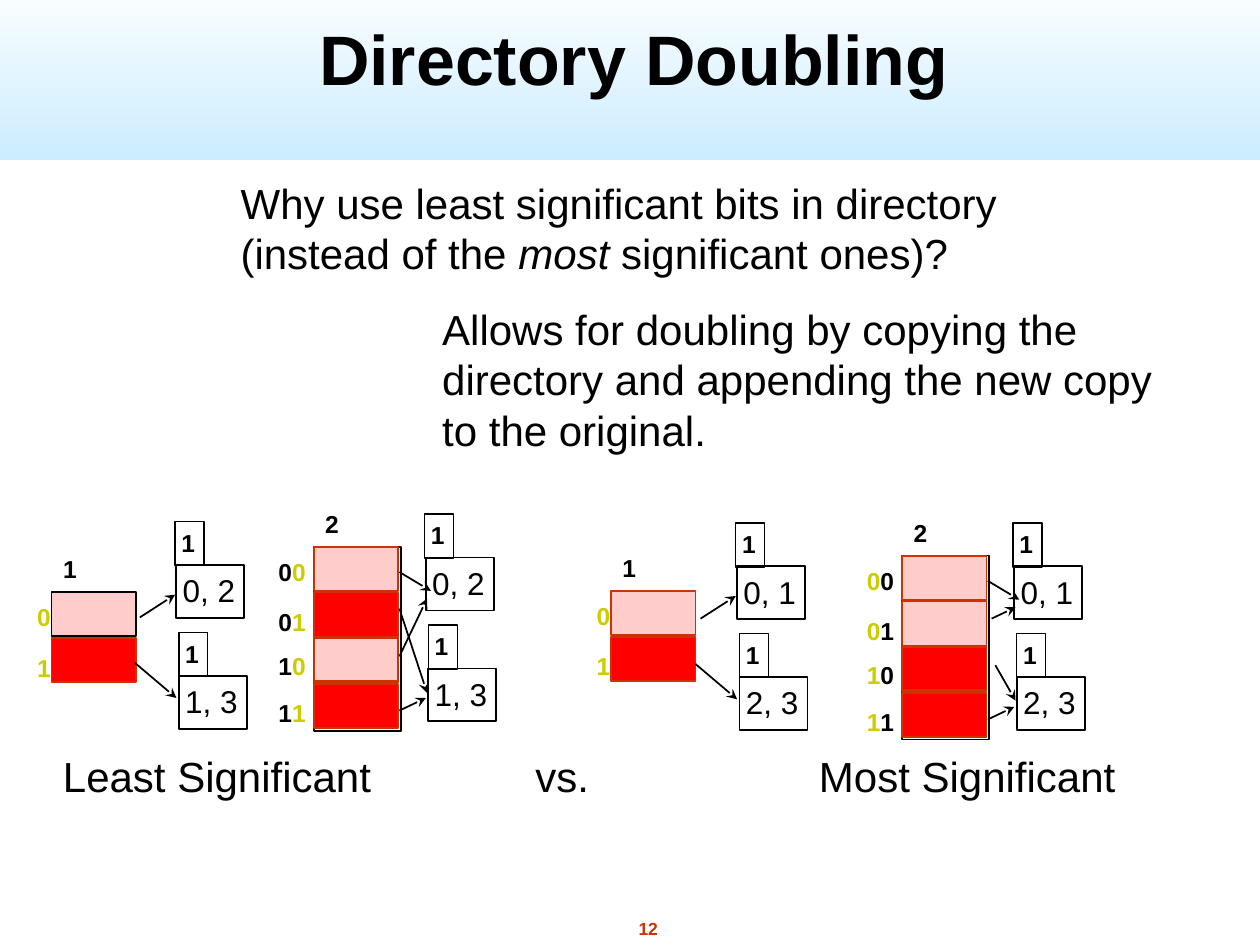
from dataclasses import dataclass
from typing import NamedTuple

from lxml.etree import SubElement
from pptx import Presentation
from pptx.dml.color import RGBColor
from pptx.enum.shapes import MSO_CONNECTOR, MSO_SHAPE
from pptx.enum.text import MSO_ANCHOR, MSO_AUTO_SIZE, PP_ALIGN
from pptx.oxml.ns import qn
from pptx.util import Inches, Pt


@dataclass(frozen=True)
class Theme:
    font: str = "Arial"
    ink: str = "000000"
    rust: str = "CC3300"
    gold: str = "CCCC00"
    pink: str = "FFCCCC"
    red: str = "FF0000"
    sky: str = "CCECFF"
    white: str = "FFFFFF"
    title: int = 40
    body: int = 24
    key: int = 18
    bit: int = 14
    page: int = 10
    thin: float = 0.75
    line: float = 1


class Run(NamedTuple):
    text: str
    color: str
    italic: bool = False


class Spot(NamedTuple):
    x: float
    y: float


class Arrow(NamedTuple):
    start: Spot
    end: Spot


class Table(NamedTuple):
    """A directory with its buckets; bit number `hot` is stressed."""
    at: Spot
    depth: str
    bits: tuple
    hot: int
    fills: tuple
    first: str
    store: Spot
    keys: tuple
    arrows: tuple


T = Theme()
deck = Presentation()
deck.slide_width, deck.slide_height = Inches(10), Inches(7.5)
slide = deck.slides.add_slide(deck.slide_layouts[6])
shapes = slide.shapes

# The slide is a grid of 100 columns by 75 rows
UNIT = deck.slide_width / 100
CELL_W, CELL_H, PITCH = 6.7, 3.5, 3.63
LABELS = (0.3, 4.3, 7.8, 11.5)


def grid(*vals: float) -> list:
    return [round(v * UNIT) for v in vals]


def write(shape, paras: list, size: int, bold: bool = False, wrap: bool = False,
          align=PP_ALIGN.LEFT, anchor=MSO_ANCHOR.TOP, level: int = 0) -> None:
    frame = shape.text_frame
    pad = Inches(0.05)
    look = {"margin_left": pad, "margin_right": pad, "margin_top": pad,
            "margin_bottom": pad, "word_wrap": wrap,
            "auto_size": MSO_AUTO_SIZE.NONE, "vertical_anchor": anchor}
    for name, val in look.items():
        setattr(frame, name, val)
    for i, runs in enumerate(paras):
        para = frame.add_paragraph() if i else frame.paragraphs[0]
        para.alignment, para.level = align, level
        if level:
            props = para._p.get_or_add_pPr()
            props.set("marL", str(Inches(0.5) * level))
            props.set("indent", "0")
        for part in runs:
            run = para.add_run()
            run.text = part.text
            style = {"name": T.font, "size": Pt(size), "bold": bold,
                     "italic": part.italic}
            for name, val in style.items():
                setattr(run.font, name, val)
            run.font.color.rgb = RGBColor.from_string(part.color)


def text(x: float, y: float, w: float, h: float, paras: list, size: int, **look) -> None:
    write(shapes.add_textbox(*grid(x, y, w, h)), paras, size, **look)


def rect(x: float, y: float, w: float, h: float, fill: str = "",
         line: str = "", width: float = T.line):
    box = shapes.add_shape(MSO_SHAPE.RECTANGLE, *grid(x, y, w, h))
    box.shadow.inherit = False
    if fill:
        box.fill.solid()
        box.fill.fore_color.rgb = RGBColor.from_string(fill)
    else:
        box.fill.background()
    if line:
        box.line.color.rgb = RGBColor.from_string(line)
        box.line.width = Pt(width)
    else:
        box.line.fill.background()
    return box


def point(base: Spot, arrow: Arrow) -> None:
    a, b = arrow
    link = shapes.add_connector(MSO_CONNECTOR.STRAIGHT, *grid(
        base.x + a.x, base.y + a.y, base.x + b.x, base.y + b.y))
    link.line.color.rgb = RGBColor.from_string(T.ink)
    link.line.width = Pt(T.line)
    SubElement(link.line._get_or_add_ln(), qn("a:tailEnd"), type="stealth")
    SubElement(link._element.spPr, qn("a:effectLst"))


def draw(tab: Table) -> None:
    x, y = tab.at
    size = len(tab.bits)
    wide = len(tab.bits[0])
    # Directory cells, with a frame round a doubled one
    if size > 2:
        rect(x, y, 6.9, 14.6, line=T.ink)
    for i, fill in enumerate(tab.fills):
        edge = T.rust if i else tab.first
        rect(x, y + i * PITCH, CELL_W, CELL_H, fill, edge)
    if size > 2:
        rect(x, y + 7.15, CELL_W, CELL_H, line=T.rust)
    # Depth and bit labels
    text(x + 0.4, y - 3.5, 2.2, 3.4, [[Run(tab.depth, T.ink)]], T.bit, bold=True)
    for bits, drop in zip(tab.bits, LABELS):
        runs = [Run(b, T.gold if i == tab.hot else T.ink) for i, b in enumerate(bits)]
        text(x - 1.65 * wide, y + drop, 1.1 + 1.1 * wide, 3.4, [runs], T.bit, bold=True)
    # Buckets with their local depth
    for i, keys in enumerate(tab.keys):
        left, top = tab.store.x + 0.3 * i, tab.store.y + 8.8 * i
        write(rect(left, top, 2.3, 3.5, line=T.ink, width=T.thin),
              [[Run("1", T.ink)]], T.bit, bold=True)
        write(rect(left + 0.1 - 0.1 * i, top + 3.45, 5.4, 4.2, line=T.ink),
              [[Run(keys, T.ink)]], T.key)
    for arrow in tab.arrows:
        point(tab.store, arrow)


# Arrows, measured from the top left of the buckets
PAIR = (Arrow(Spot(-2.8, 7.6), Spot(0, 5.8)), Arrow(Spot(-3.2, 11.2), Spot(0.1, 14)))
TOP = Arrow(Spot(-2, 4.6), Spot(0.5, 6.1))
LOW = Arrow(Spot(-2, 15.6), Spot(0.1, 14.6))
CROSS = (TOP, Arrow(Spot(-2, 11.3), Spot(0.2, 6.7)),
         Arrow(Spot(-2, 7.5), Spot(0.2, 14.2)), LOW)
STACK = (TOP, Arrow(Spot(-1.7, 7.6), Spot(0.2, 6.7)),
         Arrow(Spot(-1.4, 11.3), Spot(0.2, 14.1)), LOW)
ONE, TWO = ("0", "1"), ("00", "01", "10", "11")
EVEN, HALF = ("0, 2", "1, 3"), ("0, 1", "2, 3")
MIX = (T.pink, T.red)
TABLES = (
    Table(Spot(4.1, 47), "1", ONE, 0, MIX, T.ink, Spot(13.9, 41.4), EVEN, PAIR),
    Table(Spot(24.9, 43.4), "2", TWO, 1, MIX * 2, T.rust, Spot(33.7, 40.8), EVEN, CROSS),
    Table(Spot(48.5, 46.9), "1", ONE, 0, MIX, T.rust, Spot(58.4, 41.5), HALF, PAIR),
    Table(Spot(71.6, 44.1), "2", TWO, 0, (T.pink, T.pink, T.red, T.red), T.rust,
          Spot(80.4, 41.5), HALF, STACK),
)

# Header band and title
band = rect(0, -1.7, 100, 14.4)
band.fill.gradient()
band.fill.gradient_angle = 90
for stop, color in zip(band.fill.gradient_stops, (T.sky, T.white)):
    stop.color.rgb = RGBColor.from_string(color)
text(7.8, 0, 85, 8.4, [[Run("Directory Doubling", T.ink)]], T.title, bold=True,
     wrap=True, align=PP_ALIGN.CENTER, anchor=MSO_ANCHOR.BOTTOM)

# Question and answer
text(18.6, 13.6, 61.2, 13.1, [
    [Run("Why use least significant bits in directory", T.ink)],
    [Run("(instead of the ", T.ink), Run("most", T.ink, True),
     Run(" significant ones)?", T.ink)]], T.body)
ANSWER = ("Allows for doubling by copying the",
          "directory and appending the new copy", "to the original.")
text(29.6, 23.6, 66.5, 13.1, [[Run(line, T.ink)] for line in ANSWER], T.body,
     wrap=True, level=1)

# Directories and their captions
for tab in TABLES:
    draw(tab)
for x, w, label in ((4.5, 25.6, "Least Significant"), (42, 5.4, "vs."),
                    (64.5, 24.7, "Most Significant")):
    text(x, 59.1, w, 5, [[Run(label, T.ink)]], T.body)

# Page number
text(50.1, 72.4, 2.7, 2.6, [[Run("12", T.rust)]], T.page, bold=True, align=PP_ALIGN.CENTER)

deck.save("out.pptx")
